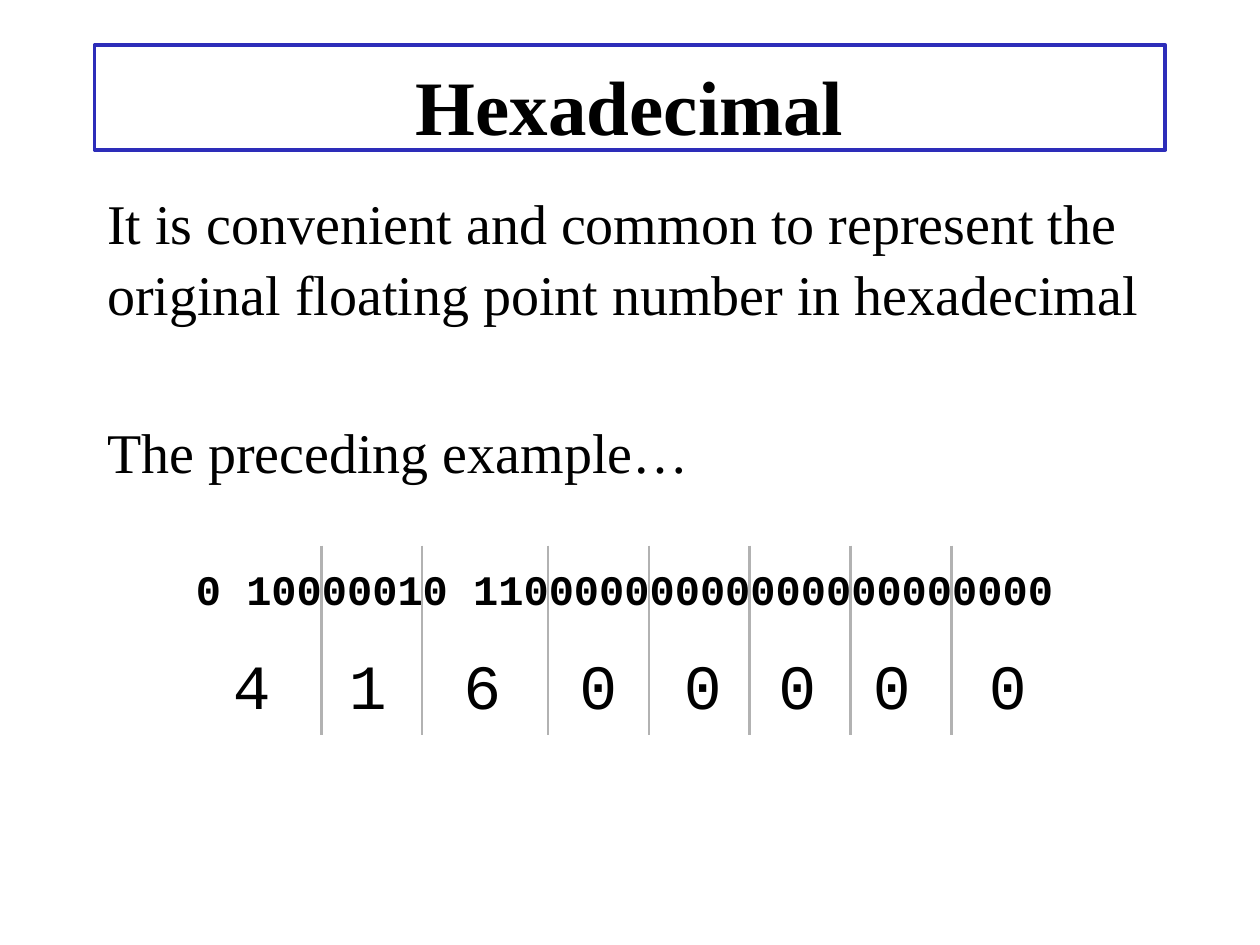
from pptx import Presentation
from pptx.dml.color import RGBColor
from pptx.enum.shapes import MSO_CONNECTOR
from pptx.enum.text import MSO_ANCHOR, MSO_AUTO_SIZE, PP_ALIGN
from pptx.oxml.ns import qn
from pptx.util import Inches, Pt

TITLE = "Hexadecimal"
BODY = [
    "It is convenient and common to represent the original floating point number in hexadecimal",
    "The preceding example…",
]
BITS = "0 10000010 11000000000000000000000"
HEX_DIGITS = [("4", 1.75), ("1", 2.67), ("6", 3.58), ("0", 4.5),
              ("0", 5.33), ("0", 6.08), ("0", 6.83), ("0", 7.75)]  # digit, left

THEME = {
    "serif": "Times New Roman", "mono": "Courier New",
    "ink": RGBColor(0, 0, 0), "frame": RGBColor(0x2D, 0x2D, 0xB9),
    "rule": RGBColor(0xB2, 0xB2, 0xB2),
    "title": 44, "body": 32, "bits": 24, "hex": 36,
}
BITS_LEFT, CHAR_WIDTH = 1.55, 0.2  # one 24 pt monospaced character is 0.2 in wide
RULE_TOP, RULE_BOTTOM = 4.33, 5.83


def place(shape, left, top, width, height):
    shape.left, shape.top = Inches(left), Inches(top)
    shape.width, shape.height = Inches(width), Inches(height)


def write(p, text, font, size, bold=False):
    r = p.add_run()
    r.text = text
    r.font.name, r.font.size, r.font.bold = THEME[font], Pt(THEME[size]), bold
    r.font.color.rgb = THEME["ink"]


def add_text(s, box, text, size, bold=False, align=PP_ALIGN.LEFT, wrap=True):
    tf = s.shapes.add_textbox(*map(Inches, box)).text_frame
    tf.word_wrap = wrap
    p = tf.paragraphs[0]
    p.alignment = align
    write(p, text, "mono", size, bold)


def add_title(s):
    title = s.shapes.title
    place(title, 0.75, 0.36, 8.5, 0.83)
    title.line.color.rgb = THEME["frame"]
    title.line.width = Pt(2.25)
    tf = title.text_frame
    tf.auto_size = MSO_AUTO_SIZE.NONE
    tf.vertical_anchor = MSO_ANCHOR.MIDDLE
    tf.margin_top, tf.margin_bottom = Inches(0.11), 0
    p = tf.paragraphs[0]
    p.alignment = PP_ALIGN.CENTER
    write(p, TITLE, "serif", "title", bold=True)


def add_body(s):
    body = s.placeholders[1]
    place(body, 0.75, 1.42, 8.5, 4.5)
    tf = body.text_frame
    tf.auto_size = MSO_AUTO_SIZE.NONE
    for i, text in enumerate(BODY):
        p = tf.add_paragraph() if i else tf.paragraphs[0]
        pPr = p._p.get_or_add_pPr()
        pPr.set("marL", "0")
        pPr.set("indent", "0")
        pPr.append(pPr.makeelement(qn("a:buNone"), {}))
        p.line_spacing = 1.05
        p.space_before = Pt(50 if i else 0)
        write(p, text, "serif", "body")


def add_nibble_rules(s):
    """Draw a line after every fourth bit except the last."""
    bit_places = [i for i, c in enumerate(BITS) if c != " "]
    for i in bit_places[3:-1:4]:
        x = Inches(BITS_LEFT + (i + 1) * CHAR_WIDTH)
        line = s.shapes.add_connector(MSO_CONNECTOR.STRAIGHT, x, Inches(RULE_TOP),
                                      x, Inches(RULE_BOTTOM))
        line.line.color.rgb = THEME["rule"]
        line.line.width = Pt(1.5)
        spPr = line._element.spPr
        spPr.append(spPr.makeelement(qn("a:effectLst"), {}))


def main():
    prs = Presentation()
    prs.slide_width, prs.slide_height = Inches(10), Inches(7.5)
    s = prs.slides.add_slide(prs.slide_layouts[1])
    add_title(s)
    add_body(s)
    add_text(s, (1.08, 4.42, 7.75, 0.5), BITS, "bits", bold=True, align=PP_ALIGN.CENTER)
    add_nibble_rules(s)
    for digit, left in HEX_DIGITS:
        add_text(s, (left, 5.08, 0.5, 0.7), digit, "hex", wrap=False)
    prs.save("out.pptx")


if __name__ == "__main__":
    main()
